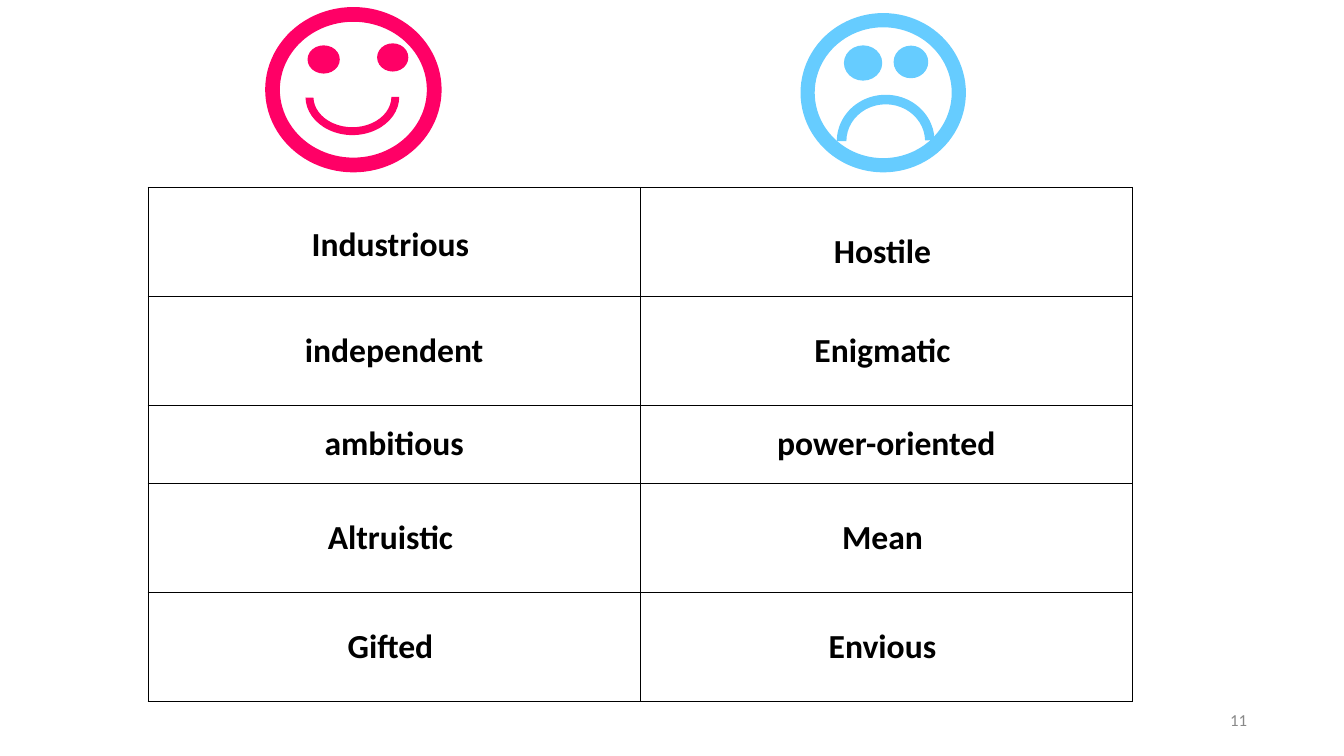
from lxml import etree
from pptx import Presentation
from pptx.dml.color import RGBColor
from pptx.enum.shapes import MSO_SHAPE
from pptx.enum.text import MSO_ANCHOR, PP_ALIGN
from pptx.oxml.ns import qn
from pptx.util import Inches, Pt

DONUT, OVAL, ARC = MSO_SHAPE.DONUT, MSO_SHAPE.OVAL, MSO_SHAPE.BLOCK_ARC
MIDDLE = MSO_ANCHOR.MIDDLE
CENTER, RIGHT = PP_ALIGN.CENTER, PP_ALIGN.RIGHT

PINK = RGBColor(0xFF, 0x00, 0x66)
BLUE = RGBColor(0x66, 0xCC, 0xFF)
BLACK = RGBColor(0x00, 0x00, 0x00)
GRAY = RGBColor(0x88, 0x88, 0x88)
FONT = "Calibri"

# The trailing spaces belong to the words and shift the centring
TRAITS = [
    ("Industrious ", "Hostile "),
    ("independent", "Enigmatic "),
    ("ambitious", "power-oriented"),
    ("Altruistic ", "Mean "),
    ("Gifted ", "Envious "),
]
HEIGHTS = [1.08, 1.08, 0.78, 1.08, 1.08]
COL_WIDTH = 4.88
RING = [0.089]
MOUTH = [108, 215.312, 0.103]


def add_part(slide, kind, box, color, adjust=()):
    part = slide.shapes.add_shape(kind, *map(Inches, box))
    part.shadow.inherit = False
    part.fill.solid()
    part.fill.fore_color.rgb = color
    part.line.fill.background()
    for i, value in enumerate(adjust):
        part.adjustments[i] = value
    return part


def add_face(slide, color, ring, eyes, mouth, turn=0):
    add_part(slide, DONUT, ring, color, RING)
    for eye in eyes:
        last = add_part(slide, OVAL, eye, color)
    add_part(slide, ARC, mouth, color, MOUTH).rotation = turn
    return last


def style_text(par, size, color, align, bold=False):
    par.alignment = align
    for run in par.runs:
        font = run.font
        font.name, font.size, font.bold = FONT, Pt(size), bold
        font.color.rgb = color


def add_borders(cell):
    props = cell._tc.get_or_add_tcPr()
    for side in ("lnL", "lnR", "lnT", "lnB"):
        line = etree.SubElement(props, qn(f"a:{side}"), w=str(Pt(1)))
        fill = etree.SubElement(line, qn("a:solidFill"))
        etree.SubElement(fill, qn("a:srgbClr"), val=str(BLACK))


def fill_cell(cell, text):
    add_borders(cell)
    cell.fill.background()
    cell.vertical_anchor = MIDDLE
    cell.margin_left = cell.margin_right = Inches(0.1)
    cell.margin_top = cell.margin_bottom = Inches(0.05)
    cell.text_frame.text = text
    style_text(cell.text_frame.paragraphs[0], 24, BLACK, CENTER, True)


def add_traits(slide):
    frame = slide.shapes.add_table(
        len(TRAITS), 2, Inches(1.47), Inches(1.86),
        Inches(2 * COL_WIDTH), Inches(sum(HEIGHTS)))
    table = frame.table
    table.first_row = table.horz_banding = False
    for col in table.columns:
        col.width = Inches(COL_WIDTH)
    for r, words in enumerate(TRAITS):
        table.rows[r].height = Inches(HEIGHTS[r])
        for c, word in enumerate(words):
            fill_cell(table.cell(r, c), word)
    # The first row has looser lines
    first, second = table.cell(0, 0), table.cell(0, 1)
    first.margin_top = first.margin_bottom = 0
    first.text_frame.paragraphs[0].line_spacing = 1.15
    second.text_frame.paragraphs[0].line_spacing = 1.5


def add_number(slide, text):
    box = slide.shapes.add_textbox(
        Inches(12.13), Inches(7), Inches(0.29), Inches(0.29))
    frame = box.text_frame
    frame.word_wrap = True
    frame.vertical_anchor = MIDDLE
    frame.margin_left = frame.margin_right = Inches(0.05)
    frame.margin_top = frame.margin_bottom = Inches(0.05)
    frame.text = text
    style_text(frame.paragraphs[0], 12, GRAY, RIGHT)


def main():
    deck = Presentation()
    deck.slide_width, deck.slide_height = Inches(13.33), Inches(7.5)
    slide = deck.slides.add_slide(deck.slide_layouts[6])

    # Happy and sad faces
    add_face(slide, PINK, (2.63, 0.07, 1.75, 1.64),
             [(3.05, 0.45, 0.32, 0.28), (3.74, 0.43, 0.31, 0.28)],
             (3.03, 0.58, 0.93, 0.76), 180)
    eye = add_face(slide, BLUE, (7.94, 0.13, 1.64, 1.58),
                   [(8.37, 0.45, 0.38, 0.35), (8.87, 0.46, 0.33, 0.31)],
                   (8.3, 0.94, 0.97, 0.92))
    eye.line.color.rgb = BLUE
    eye.line.width = Pt(1)

    # Slide number and table of traits
    add_number(slide, "11")
    add_traits(slide)
    deck.save("out.pptx")


if __name__ == "__main__":
    main()
